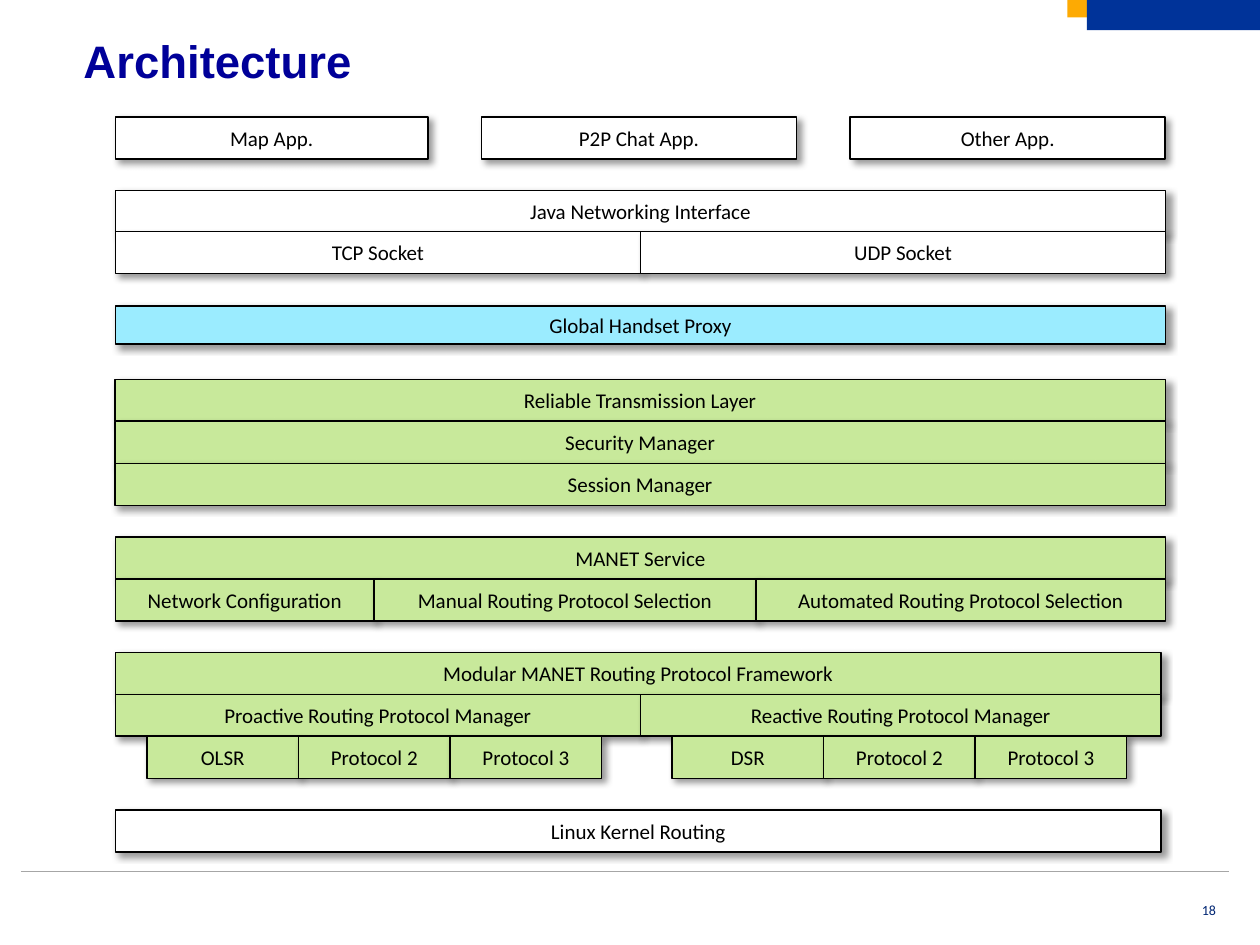
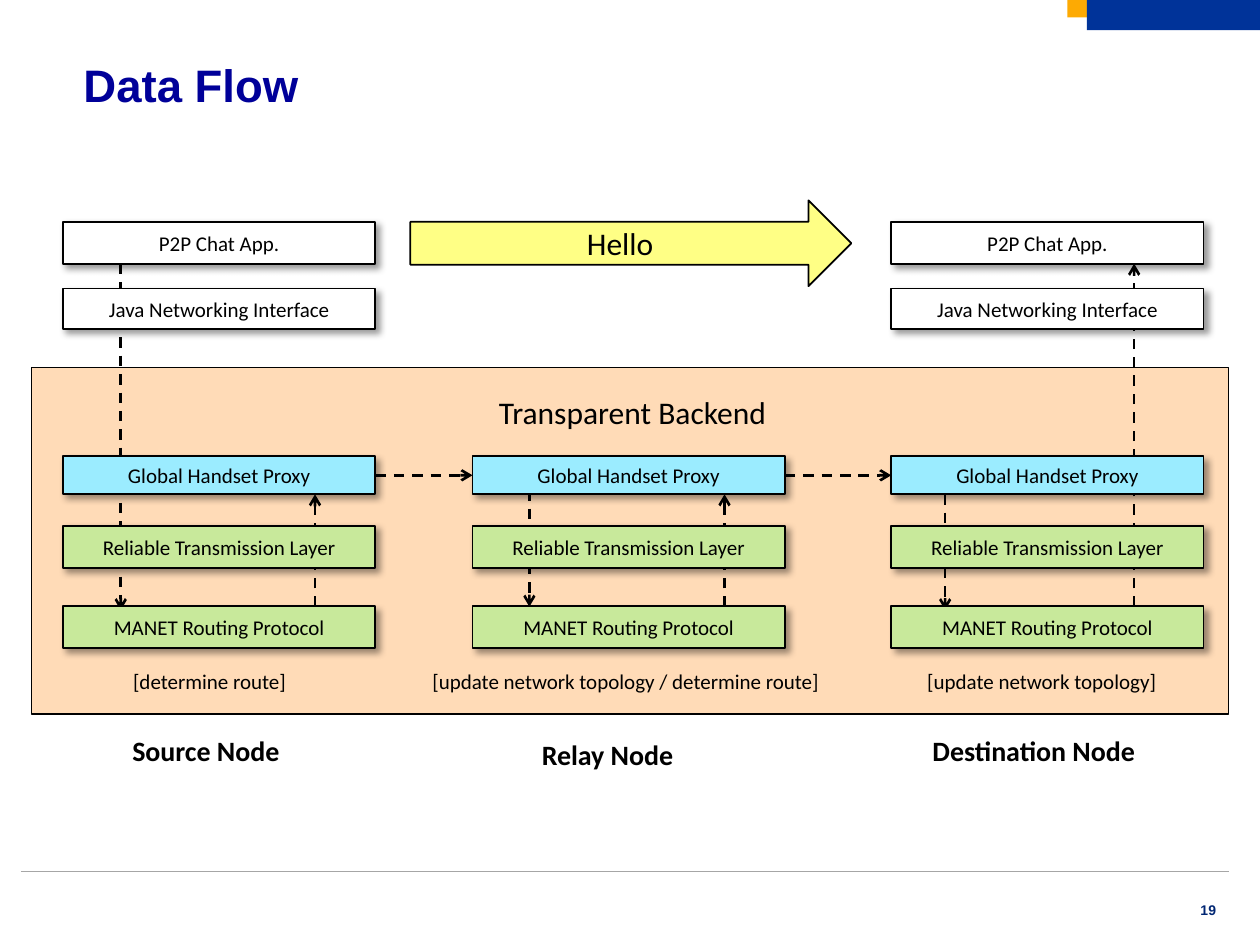
from itertools import pairwise

from lxml import etree
from pptx import Presentation
from pptx.dml.color import RGBColor
from pptx.enum.dml import MSO_LINE
from pptx.enum.shapes import MSO_CONNECTOR as CONN, MSO_SHAPE as SHAPE
from pptx.enum.text import MSO_ANCHOR as ANCHOR, MSO_AUTO_SIZE as FIT, PP_ALIGN as ALIGN
from pptx.oxml import parse_xml
from pptx.oxml.ns import nsdecls, qn
from pptx.util import Pt

COLORS = {
    "white": "FFFFFF", "black": "000000", "title": "000099", "number": "002673",
    "orange": "FDAA03", "blue": "003399", "rule": "A6A6A6", "proxy": "9BECFF",
    "manet": "C8E99B", "backend": "FFB870", "message": "FFFF85",
}
ROW_H = 24
NODE_W = 178.5
NODE_ROWS = [
    ("P2P Chat App.", 0, 24, "white"),
    ("Java Networking Interface", 38.2, 23, "white"),
    ("Global Handset Proxy", 134, 21.8, "proxy"),
    ("Reliable Transmission Layer", 173.8, 24.2, "manet"),
    ("MANET Routing Protocol", 219.8, 23.8, "manet"),
]
NODES = [
    {"left": 36, "rows": NODE_ROWS, "name": "Source Node", "name_at": (32.5, 288.8),
     "note": "[determine route]", "note_x": 33,
     "arrows": [(33, 24, 222), (144, 220, 155.8)]},
    {"left": 270, "rows": NODE_ROWS[2:], "name": "Relay Node", "name_at": (32.5, 291),
     "note": "[update network topology / determine route]", "note_x": -30,
     "arrows": [(32.5, 153.5, 220), (144, 220, 155.8)]},
    {"left": 509.3, "rows": NODE_ROWS, "name": "Destination Node", "name_at": (16.5, 288.8),
     "note": "[update network topology]", "note_x": 13.5,
     "arrows": [(30.8, 155.8, 222), (138.8, 220, 24)]},
]


def rgb(name):
    """Look up a colour by name."""
    return RGBColor.from_string(COLORS[name])


def style_text(tf, text, size, color="black", font="Calibri", bold=False, align=ALIGN.LEFT):
    """Set one paragraph of text and format it."""
    tf.text = text
    tf.word_wrap = True
    p = tf.paragraphs[0]
    p.alignment = align
    f = p.runs[0].font
    f.name, f.size, f.bold = font, Pt(size), bold
    f.color.rgb = rgb(color)
    return p


def add_block(s, left, top, width, height, fill, line=None, shape=SHAPE.RECTANGLE):
    """Add a filled shape without shadow, outlined if a line colour is given."""
    sp = s.shapes.add_shape(shape, Pt(left), Pt(top), Pt(width), Pt(height))
    sp.shadow.inherit = False
    sp.fill.solid()
    sp.fill.fore_color.rgb = rgb(fill)
    if line:
        sp.line.color.rgb = rgb(line)
        sp.line.width = Pt(1)
    else:
        sp.line.fill.background()
    return sp


def add_layer(s, text, left, top, width, height, fill):
    """Add a labelled box with a soft shadow."""
    sp = add_block(s, left, top, width, height, fill, "black")
    style_text(sp.text_frame, text, 12, align=ALIGN.CENTER)
    sp.text_frame.vertical_anchor = ANCHOR.MIDDLE
    effects = sp.element.spPr.find(qn("a:effectLst"))
    effects.append(parse_xml(
        f'<a:outerShdw {nsdecls("a")} blurRad="{Pt(4)}" dist="{Pt(3)}" dir="2700000" '
        f'algn="tl" rotWithShape="0"><a:srgbClr val="{COLORS["black"]}">'
        '<a:alpha val="40000"/></a:srgbClr></a:outerShdw>'))
    return sp


def add_row(s, left, top, cells, fill, gap=0):
    """Set labelled boxes side by side from (text, width) pairs."""
    for text, width in cells:
        add_layer(s, text, left, top, width, ROW_H, fill)
        left += width + gap


def add_label(s, text, left, top, width, height, size, **style):
    """Add a text box with one paragraph."""
    box = s.shapes.add_textbox(Pt(left), Pt(top), Pt(width), Pt(height))
    return box, style_text(box.text_frame, text, size, **style)


def add_line(s, x1, y1, x2, y2, color, width):
    """Add a straight connector without shadow."""
    c = s.shapes.add_connector(CONN.STRAIGHT, Pt(x1), Pt(y1), Pt(x2), Pt(y2))
    c.line.color.rgb = rgb(color)
    c.line.width = Pt(width)
    etree.SubElement(c.element.spPr, qn("a:effectLst"))
    return c


def add_arrow(s, x1, y1, x2, y2):
    """Add a dashed arrow."""
    c = add_line(s, x1, y1, x2, y2, "black", 1.5)
    c.line.dash_style = MSO_LINE.DASH
    etree.SubElement(c.line._get_or_add_ln(), qn("a:tailEnd"), type="arrow")
    return c


def add_frame(s, title, title_top, number, number_font, number_bold=False):
    """Add the corner bands, footer rule, title and page number."""
    add_block(s, 610, 0, 110, 10, "orange")
    add_block(s, 621, 0, 99, 17.3, "blue")
    add_line(s, 12, 498, 702, 498, "rule", 0.5)
    sp = s.shapes.title
    sp.left, sp.top, sp.width, sp.height = Pt(40.5), Pt(title_top), Pt(564), Pt(42)
    p = style_text(sp.text_frame, title, 26, "title", "Arial", True)
    p.line_spacing = Pt(30)
    sp.text_frame.vertical_anchor = ANCHOR.TOP
    sp.text_frame.auto_size = FIT.NONE
    box, p = add_label(s, number, 660, 512.6, 42, 12.4, 8, color="number",
                       font=number_font, bold=number_bold, align=ALIGN.RIGHT)
    p.line_spacing = 1.2
    box.text_frame.vertical_anchor = ANCHOR.MIDDLE


def add_stack(s, left, top, width):
    """Draw the architecture layers downward from the top left corner."""
    half = width / 2
    lower = width - 2.5
    add_row(s, left, top, [("Map App.", 178.5), ("P2P Chat App.", 180), ("Other App.", 180)],
            "white", gap=30.7)
    add_row(s, left, top + 42, [("Java Networking Interface", width)], "white")
    add_row(s, left, top + 65.5, [("TCP Socket", half), ("UDP Socket", half)], "white")
    add_layer(s, "Global Handset Proxy", left, top + 108, width, 21.8, "proxy")
    for i, text in enumerate(["Reliable Transmission Layer", "Security Manager",
                              "Session Manager"]):
        add_row(s, left - 0.4, top + 150 + i * ROW_H, [(text, width + 0.4)], "manet")
    add_row(s, left, top + 240, [("MANET Service", width)], "manet")
    add_row(s, left, top + 264, [("Network Configuration", 147.8),
                                 ("Manual Routing Protocol Selection", 218.2),
                                 ("Automated Routing Protocol Selection", 234)], "manet")
    add_row(s, left, top + 306, [("Modular MANET Routing Protocol Framework", lower)], "manet")
    add_row(s, left, top + 330, [("Proactive Routing Protocol Manager", half),
                                 ("Reactive Routing Protocol Manager", lower - half)], "manet")
    for i, first in enumerate(["OLSR", "DSR"]):
        cells = [(text, 86.6) for text in (first, "Protocol 2", "Protocol 3")]
        add_row(s, left + 18 + i * half, top + 354, cells, "manet")
    add_row(s, left, top + 396, [("Linux Kernel Routing", lower)], "white")


def add_backend(s, left, top, width, height):
    """Draw the half-transparent panel behind the nodes."""
    sp = add_block(s, left, top, width, height, "backend", "black")
    color = sp.element.spPr.find(qn("a:solidFill"))[0]
    etree.SubElement(color, qn("a:alpha"), val="50000")
    add_label(s, "Transparent Backend", left + 260, top + 11, 190, 29, 18)


def add_node(s, node, top):
    """Draw one node's arrows, layers and captions, and return its proxy box."""
    left = node["left"]
    for x, start, end in node["arrows"]:
        add_arrow(s, left + x, top + start, left + x, top + end)
    boxes = {text: add_layer(s, text, left, top + y, NODE_W, h, fill)
             for text, y, h, fill in node["rows"]}
    add_label(s, node["note"], left + node["note_x"], top + 252, 252, 21.8, 12)
    x, y = node["name_at"]
    add_label(s, node["name"], left + x, top + y, 150, 26.6, 16, bold=True)
    return boxes["Global Handset Proxy"]


def build_architecture(s):
    """Build the architecture slide."""
    add_frame(s, "Architecture", 16.5, "18", "Calibri")
    add_stack(s, 66, 66.8, 600)


def build_data_flow(s):
    """Build the data flow slide."""
    add_frame(s, "Data Flow", 30.2, "19", "Arial", True)
    add_backend(s, 18, 210, 684, 198)
    proxies = [add_node(s, node, 126.7) for node in NODES]
    for source, target in pairwise(proxies):
        c = add_arrow(s, 0, 0, 0, 0)
        c.begin_connect(source, 3)
        c.end_connect(target, 1)
    sp = add_block(s, 234.5, 114.5, 252, 49, "message", "black", SHAPE.RIGHT_ARROW)
    style_text(sp.text_frame, "Hello", 18, align=ALIGN.CENTER)
    sp.text_frame.vertical_anchor = ANCHOR.MIDDLE


def main():
    """Build both slides and save them."""
    prs = Presentation()
    prs.slide_width, prs.slide_height = Pt(720), Pt(540)
    for build in (build_architecture, build_data_flow):
        build(prs.slides.add_slide(prs.slide_layouts[5]))
    prs.save("out.pptx")


if __name__ == "__main__":
    main()
